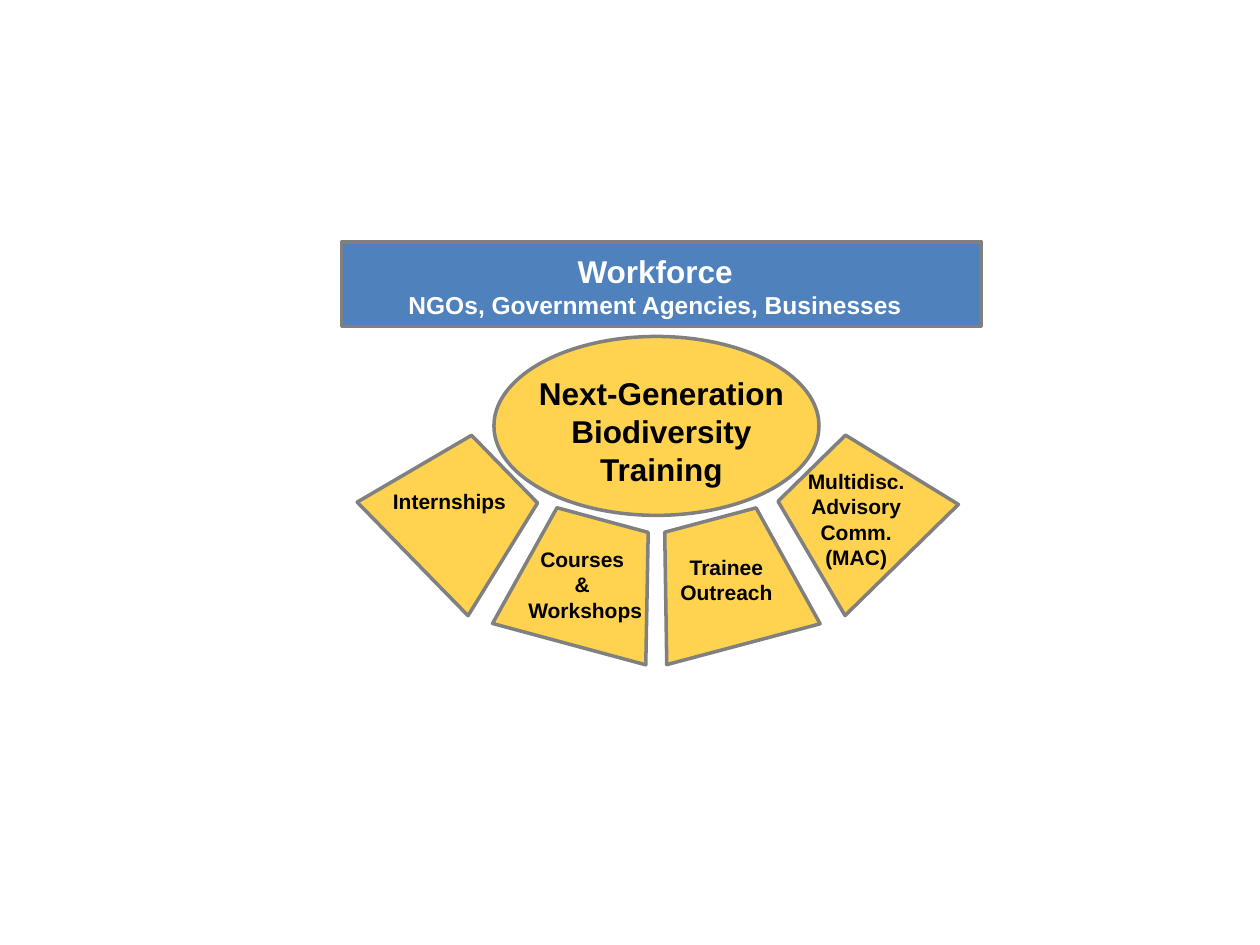
from dataclasses import dataclass

from lxml import etree
from pptx import Presentation
from pptx import util as u
from pptx.dml.color import RGBColor
from pptx.enum import shapes, text
from pptx.oxml.ns import qn


@dataclass(frozen=True)
class Theme:
    font: str = "Arial"
    gold: str = "FFC000"
    blue: str = "4F81BD"
    grey: str = "808080"
    black: str = "000000"
    white: str = "FFFFFF"
    gold_alpha: int = 69
    line: float = 2
    title: int = 18
    subtitle: int = 14
    label: int = 12


@dataclass(frozen=True)
class Box:
    col: float
    row: float
    cols: float
    rows: float

    def emu(self) -> tuple[int, ...]:
        return tuple(round(v * CELL) for v in (self.col, self.row, self.cols, self.rows))


@dataclass(frozen=True)
class Petal:
    offset: float
    row: float
    angle: float


@dataclass(frozen=True)
class Label:
    box: Box
    lines: tuple[str, ...]
    sizes: tuple[int, ...]
    color: str
    align: text.PP_ALIGN = text.PP_ALIGN.CENTER


T = Theme()
CELL = u.Inches(0.1)
COLS, ROWS = 100, 75
FAN_AXIS = 52.1
PETAL_COLS, PETAL_ROWS = 12.6, 10.2

PETALS = (
    Petal(-15.7, 35.7, 45.7),
    Petal(-5.6, 41.1, 15.1),
    Petal(5.6, 41.1, 345.1),
    Petal(15.9, 35.7, 315.6),
)

LABELS = (
    Label(Box(39.3, 29.2, 26.4, 10.1), ("Next-Generation Biodiversity Training",), (T.title,), T.black),
    Label(Box(30.2, 38.3, 12.5, 3), ("Internships",), (T.label,), T.black, text.PP_ALIGN.LEFT),
    Label(Box(39.8, 42.9, 13.3, 7.1), ("Courses ", "& ", "Workshops"), (T.label,) * 3, T.black),
    Label(Box(51.4, 43.5, 12.5, 5), ("Trainee Outreach",), (T.label,), T.black),
    Label(Box(61.7, 36.7, 12.5, 9.1), ("Multidisc. Advisory", "Comm.", "(MAC)"), (T.label,) * 3, T.black),
    Label(
        Box(28.3, 19.5, 47.4, 6.4),
        ("Workforce", "NGOs, Government Agencies, Businesses"),
        (T.title, T.subtitle),
        T.white,
    ),
)


def add_block(s, kind: shapes.MSO_SHAPE, box: Box, fill: str, alpha: int = 100, angle: float = 0) -> None:
    sp = s.shapes.add_shape(kind, *box.emu())
    sp.shadow.inherit = False
    sp.rotation = angle
    sp.fill.solid()
    sp.fill.fore_color.rgb = RGBColor.from_string(fill)
    if alpha < 100:
        clr = sp.fill._xPr.find(qn("a:solidFill"))[0]
        etree.SubElement(clr, qn("a:alpha")).set("val", str(alpha * 1000))
    sp.line.color.rgb = RGBColor.from_string(T.grey)
    sp.line.width = u.Pt(T.line)


def add_label(s, label: Label) -> None:
    tf = s.shapes.add_textbox(*label.box.emu()).text_frame
    tf.word_wrap = True
    tf.auto_size = text.MSO_AUTO_SIZE.SHAPE_TO_FIT_TEXT
    tf.text = "\n".join(label.lines)
    for p, size in zip(tf.paragraphs, label.sizes):
        p.alignment = label.align
        for r in p.runs:
            r.font.name = T.font
            r.font.size = u.Pt(size)
            r.font.bold = True
            r.font.color.rgb = RGBColor.from_string(label.color)


def main() -> None:
    prs = Presentation()
    prs.slide_width, prs.slide_height = COLS * CELL, ROWS * CELL
    s = prs.slides.add_slide(prs.slide_layouts[6])
    add_block(s, shapes.MSO_SHAPE.OVAL, Box(39.2, 26.7, 25.8, 14.2), T.gold, T.gold_alpha)
    for petal in PETALS:
        box = Box(FAN_AXIS + petal.offset - PETAL_COLS / 2, petal.row, PETAL_COLS, PETAL_ROWS)
        add_block(s, shapes.MSO_SHAPE.TRAPEZOID, box, T.gold, T.gold_alpha, petal.angle)
    add_block(s, shapes.MSO_SHAPE.RECTANGLE, Box(27.1, 19.2, 50.8, 6.7), T.blue)
    for label in LABELS:
        add_label(s, label)
    prs.save("out.pptx")


main()
